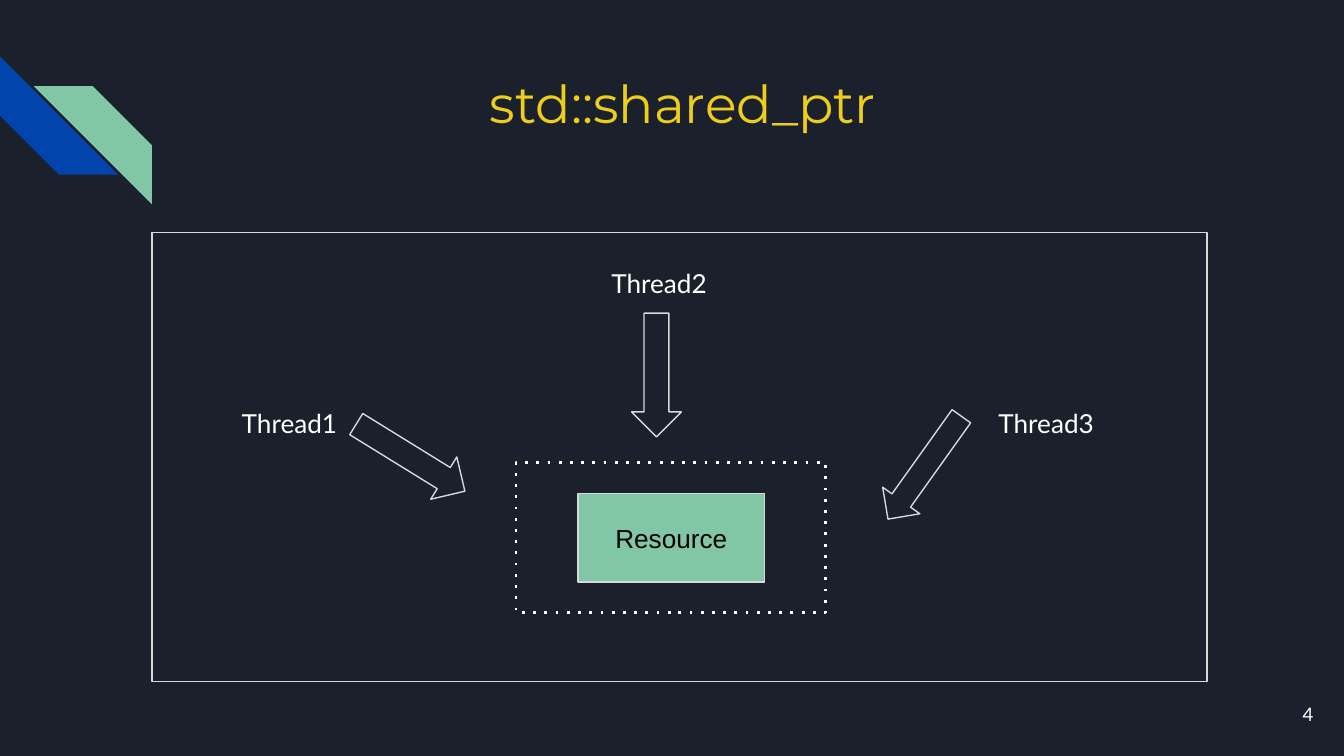
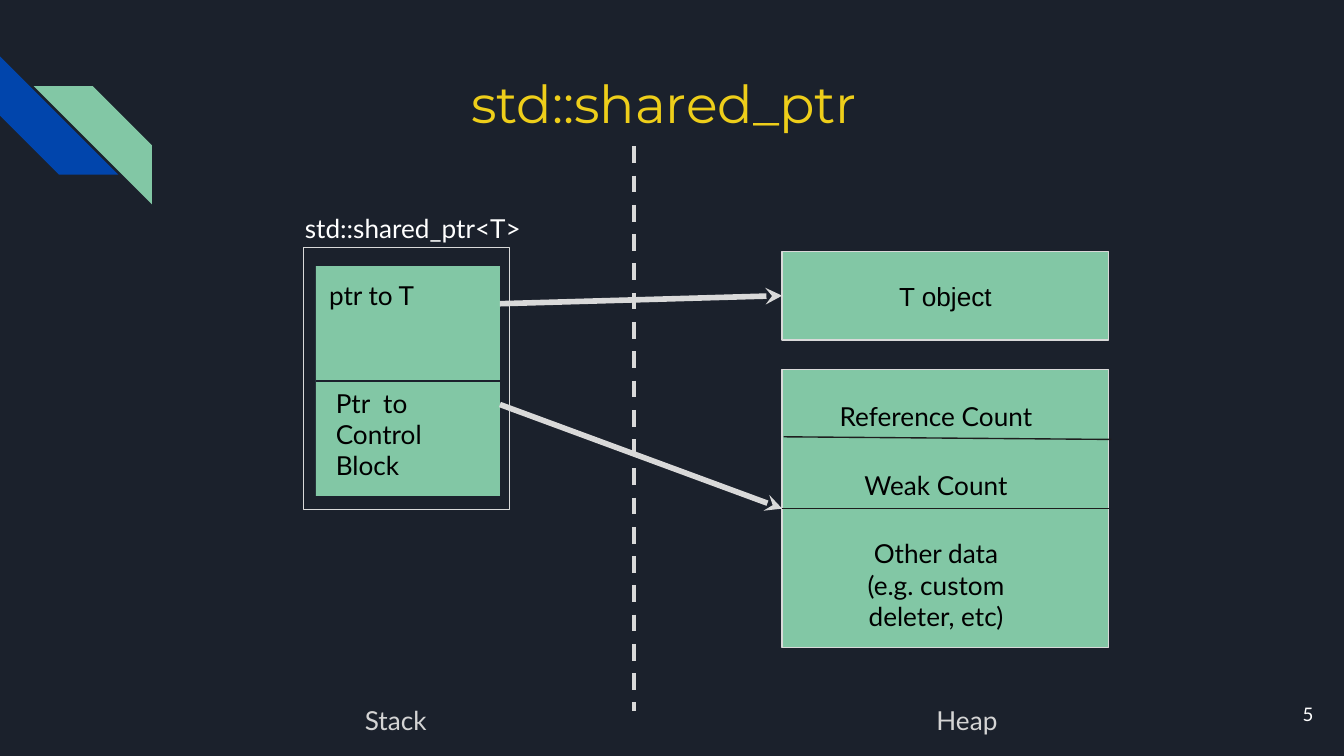
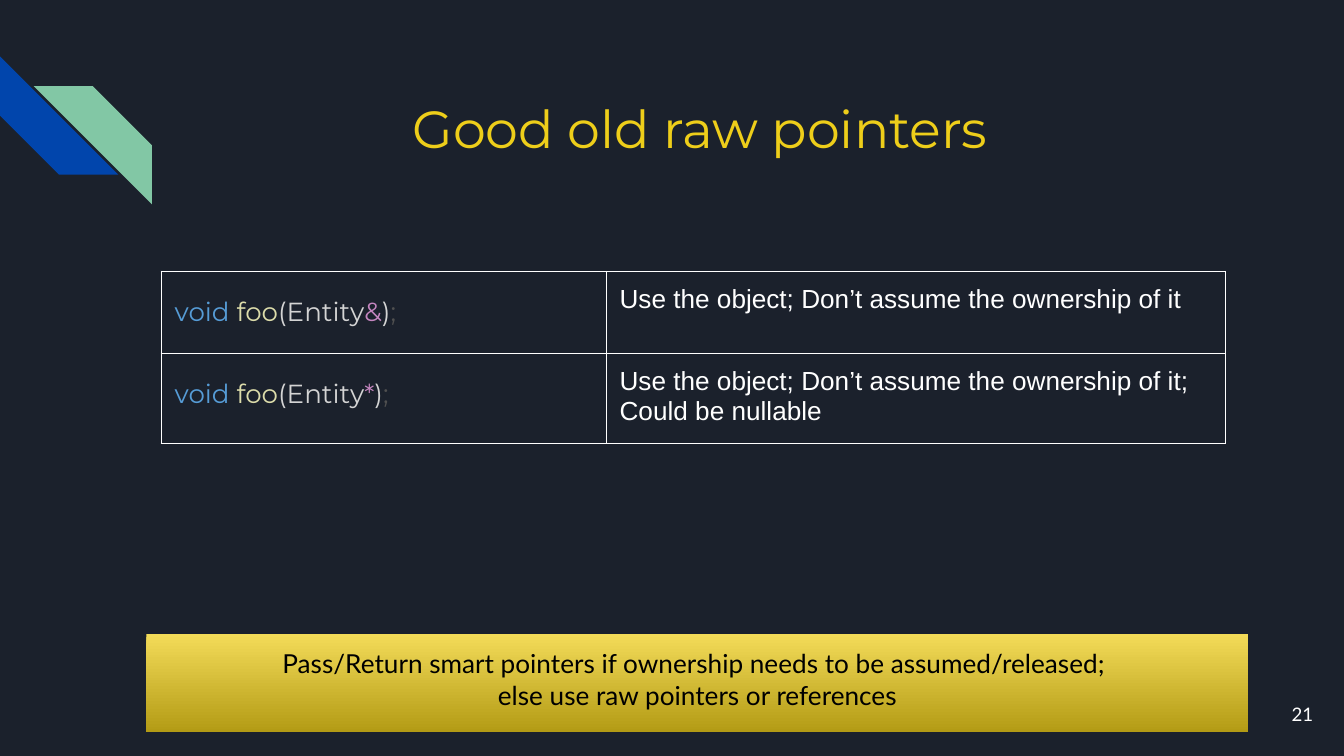
from lxml import etree
from pptx import Presentation, util as u
from pptx.dml.color import RGBColor
from pptx.enum import dml, shapes, text
from pptx.oxml import ns

NAVY = RGBColor(0x1B, 0x21, 0x2C)
BLUE = RGBColor(0x01, 0x45, 0xAC)
GREEN = RGBColor(0x82, 0xC7, 0xA5)
YELLOW = RGBColor(0xEE, 0xCE, 0x1A)
GOLD_LIGHT = RGBColor(0xF3, 0xDB, 0x58)
GOLD_DARK = RGBColor(0xB3, 0x9B, 0x15)
WHITE = RGBColor(0xFF, 0xFF, 0xFF)
BLACK = RGBColor(0x00, 0x00, 0x00)
PALE = RGBColor(0xD9, 0xD9, 0xD9)
CHARCOAL = RGBColor(0x1E, 0x1E, 0x1E)
CODE_KEYWORD = RGBColor(0x56, 0x9C, 0xD6)
CODE_NAME = RGBColor(0xDC, 0xDC, 0xAA)
CODE_TEXT = RGBColor(0xD4, 0xD4, 0xD4)
CODE_SYMBOL = RGBColor(0xC5, 0x86, 0xC0)
CODE_END = RGBColor(0x50, 0x50, 0x50)

SHAPE = shapes.MSO_SHAPE
ALIGN = text.PP_ALIGN
TOP = text.MSO_ANCHOR.TOP
MIDDLE = text.MSO_ANCHOR.MIDDLE
INSET = u.Inches(0.1)


def inches(values):
    return [u.Inches(v) for v in values]


def write(tf, paragraphs, size=14, font="Lato", color=WHITE, align=ALIGN.LEFT, spacing=None):
    if isinstance(paragraphs, str):
        paragraphs = [paragraphs]
    for i, runs in enumerate(paragraphs):
        p = tf.add_paragraph() if i else tf.paragraphs[0]
        p.alignment = align
        if spacing:
            p.line_spacing = spacing
        if isinstance(runs, str):
            runs = [(runs, color)]
        for content, run_color in runs:
            for j, line in enumerate(content.split("\v")):
                if j:
                    p.add_line_break()
                r = p.add_run()
                r.text = line
                r.font.size = u.Pt(size)
                r.font.name = font
                r.font.color.rgb = run_color


def set_frame(tf, anchor):
    tf.word_wrap = True
    tf.vertical_anchor = anchor
    tf.margin_left = tf.margin_right = INSET
    tf.margin_top = tf.margin_bottom = INSET


def add_text(slide, box, content, anchor=TOP, **fmt):
    tf = slide.shapes.add_textbox(*inches(box)).text_frame
    set_frame(tf, anchor)
    write(tf, content, **fmt)


def set_line(sp, color, width, dash=None):
    sp.line.color.rgb = color
    sp.line.width = u.Pt(width)
    if dash:
        sp.line.dash_style = dml.MSO_LINE.DASH
        sp.line._ln.find(ns.qn("a:prstDash")).set("val", dash)


def add_shape(slide, box, kind=SHAPE.RECTANGLE, fill=None, line=None, width=0.75,
              dash=None, rotation=0, content=None, anchor=MIDDLE, **fmt):
    sp = slide.shapes.add_shape(kind, *inches(box))
    sp.shadow.inherit = False
    sp.rotation = rotation
    if fill is None:
        sp.fill.background()
    else:
        sp.fill.solid()
        sp.fill.fore_color.rgb = fill
    if line is None:
        sp.line.fill.background()
    else:
        set_line(sp, line, width, dash)
    if content:
        set_frame(sp.text_frame, anchor)
        write(sp.text_frame, content, **fmt)
    return sp


def add_line(slide, start, end, color, width, dash=None, arrow=False, begin=None, finish=None):
    cx = slide.shapes.add_connector(shapes.MSO_CONNECTOR.STRAIGHT, *inches(start + end))
    if begin:
        cx.begin_connect(*begin)
    if finish:
        cx.end_connect(*finish)
    set_line(cx, color, width, dash)
    if arrow:
        etree.SubElement(cx.line._ln, ns.qn("a:tailEnd"), type="stealth")
    etree.SubElement(cx._element.spPr, ns.qn("a:effectLst"))


def set_borders(cell, color, width):
    tc_pr = cell._tc.get_or_add_tcPr()
    for i, side in enumerate(("a:lnL", "a:lnR", "a:lnT", "a:lnB")):
        ln = etree.Element(ns.qn(side), w=str(u.Pt(width)))
        fill = etree.SubElement(ln, ns.qn("a:solidFill"))
        etree.SubElement(fill, ns.qn("a:srgbClr"), val=str(color))
        tc_pr.insert(i, ln)


def add_table(slide, box, widths, rows):
    table = slide.shapes.add_table(len(rows), len(widths), *inches(box)).table
    table.first_row = table.horz_banding = False
    for column, width in zip(table.columns, widths):
        column.width = u.Inches(width)
    for i, (code, meaning) in enumerate(rows):
        code_cell, meaning_cell = table.cell(i, 0), table.cell(i, 1)
        write(code_cell.text_frame, [code], font="Montserrat", spacing=1.36)
        write(meaning_cell.text_frame, meaning, font="Arial")
        for cell in (code_cell, meaning_cell):
            cell.margin_top = cell.margin_bottom = INSET
            cell.margin_left = cell.margin_right = INSET
            cell.fill.background()
            set_borders(cell, WHITE, 0.75)


def foo_signature(symbol):
    return [("void ", CODE_KEYWORD), ("foo", CODE_NAME), ("(Entity", CODE_TEXT),
            (symbol, CODE_SYMBOL), (")", CODE_TEXT), (";", CODE_END)]


def new_slide(prs, title, title_box, number):
    slide = prs.slides.add_slide(prs.slide_layouts[6])
    slide.background.fill.solid()
    slide.background.fill.fore_color.rgb = NAVY
    add_shape(slide, (0, 0.42, 0.88, 0.88), SHAPE.DIAGONAL_STRIPE, fill=BLUE, rotation=270)
    add_shape(slide, (0.25, 0.64, 0.88, 0.88), SHAPE.DIAGONAL_STRIPE, fill=GREEN, rotation=90)
    add_text(slide, title_box, title, size=28, font="Montserrat", color=YELLOW,
             align=ALIGN.CENTER)
    add_text(slide, (9.27, 5.1, 0.6, 0.43), str(number), anchor=MIDDLE, size=10,
             align=ALIGN.RIGHT)
    return slide


def build_threads(prs):
    slide = new_slide(prs, "std::shared_ptr", (1.09, 0.43, 7.98, 0.66), 4)
    add_shape(slide, (1.13, 1.73, 7.85, 3.34), line=PALE)
    add_shape(slide, (3.84, 3.44, 2.3, 1.12), line=WHITE, width=1.5, dash="dot")
    threads = [
        ((1.7, 2.93), (2.87, 2.93, 0.37, 0.95), 301.7),
        ((4.45, 1.89), (4.7, 2.33, 0.37, 0.92), 0),
        ((7.33, 2.93), (6.71, 3.01, 0.34, 0.94), 35.5),
    ]
    for i, (label_at, arrow_box, angle) in enumerate(threads, 1):
        add_text(slide, label_at + (1.22, 0.43), f"Thread{i}")
        add_shape(slide, arrow_box, SHAPE.DOWN_ARROW, line=PALE, rotation=angle)
    add_shape(slide, (4.3, 3.67, 1.39, 0.66), fill=GREEN, line=PALE, content="Resource",
              font="Arial", color=BLACK, align=ALIGN.CENTER)


def build_memory_layout(prs):
    slide = new_slide(prs, "std::shared_ptr", (1.09, 0.43, 7.7, 0.66), 5)
    pointers = add_shape(slide, (2.35, 1.98, 1.37, 1.71), fill=GREEN, content="ptr to T",
                         anchor=TOP, color=BLACK)
    add_line(slide, (2.35, 2.83), (3.72, 2.83), NAVY, 1.5,
             begin=(pointers, 1), finish=(pointers, 3))
    add_text(slide, (2.4, 2.78, 0.95, 0.75), "Ptr  to Control Block", color=BLACK)
    control = add_shape(slide, (5.82, 2.75, 2.43, 2.07), fill=GREEN, line=PALE)
    add_text(slide, (2.17, 1.48, 1.83, 0.49), "std::shared_ptr<T>")
    target = add_shape(slide, (5.82, 1.87, 2.43, 0.66), fill=GREEN, line=PALE,
                       content="T object", font="Arial", color=BLACK, align=ALIGN.CENTER)
    for start, end, box in (((3.72, 2.26), (5.82, 2.2), target),
                            ((3.72, 3.01), (5.82, 3.79), control)):
        add_line(slide, start, end, PALE, 3, arrow=True, finish=(box, 1))
    add_line(slide, (5.83, 3.25), (8.27, 3.27), CHARCOAL, 0.75)
    add_line(slide, (5.82, 3.79), (8.25, 3.79), CHARCOAL, 0.75,
             begin=(control, 1), finish=(control, 3))
    add_shape(slide, (2.26, 1.84, 1.53, 1.95), line=PALE)
    fields = ["Reference Count"], ["Weak Count"], ["Other data", "(e.g. custom deleter, etc)"]
    for i, field in enumerate(fields):
        add_text(slide, (6.05, 2.88 + 0.51 * i, 1.83, 0.29 if i < 2 else 0.7), field,
                 color=BLACK, align=ALIGN.CENTER)
    add_line(slide, (4.72, 1.09), (4.72, 5.29), PALE, 2.25, dash="dash")
    for left, area in ((2.26, "Stack"), (6.51, "Heap")):
        add_text(slide, (left, 5.14, 1.37, 0.39), area, color=CODE_TEXT, align=ALIGN.CENTER)


def build_raw_pointers(prs):
    slide = new_slide(prs, "Good old raw pointers", (1.36, 0.62, 7.7, 0.73), 21)
    usage = "Use the object; Don’t assume the ownership of it"
    add_table(slide, (1.2, 2.02, 7.92, 1.22), (3.31, 4.61), [
        (foo_signature("&"), usage),
        (foo_signature("*"), usage + "; Could be nullable"),
    ])
    advice = ("Pass/Return smart pointers if ownership needs to be assumed/released; \v"
              "else use raw pointers or references")
    banner = add_shape(slide, (1.09, 4.72, 8.2, 0.73), content=advice, anchor=TOP,
                       color=BLACK, align=ALIGN.CENTER)
    banner.fill.gradient()
    banner.fill.gradient_angle = 270
    for stop, position, color in zip(banner.fill.gradient_stops, (0, 1), (GOLD_LIGHT, GOLD_DARK)):
        stop.position = position
        stop.color.rgb = color


def main():
    prs = Presentation()
    prs.slide_width = u.Inches(10)
    prs.slide_height = u.Inches(10 * 9 / 16)
    build_threads(prs)
    build_memory_layout(prs)
    build_raw_pointers(prs)
    prs.save("out.pptx")


if __name__ == "__main__":
    main()
